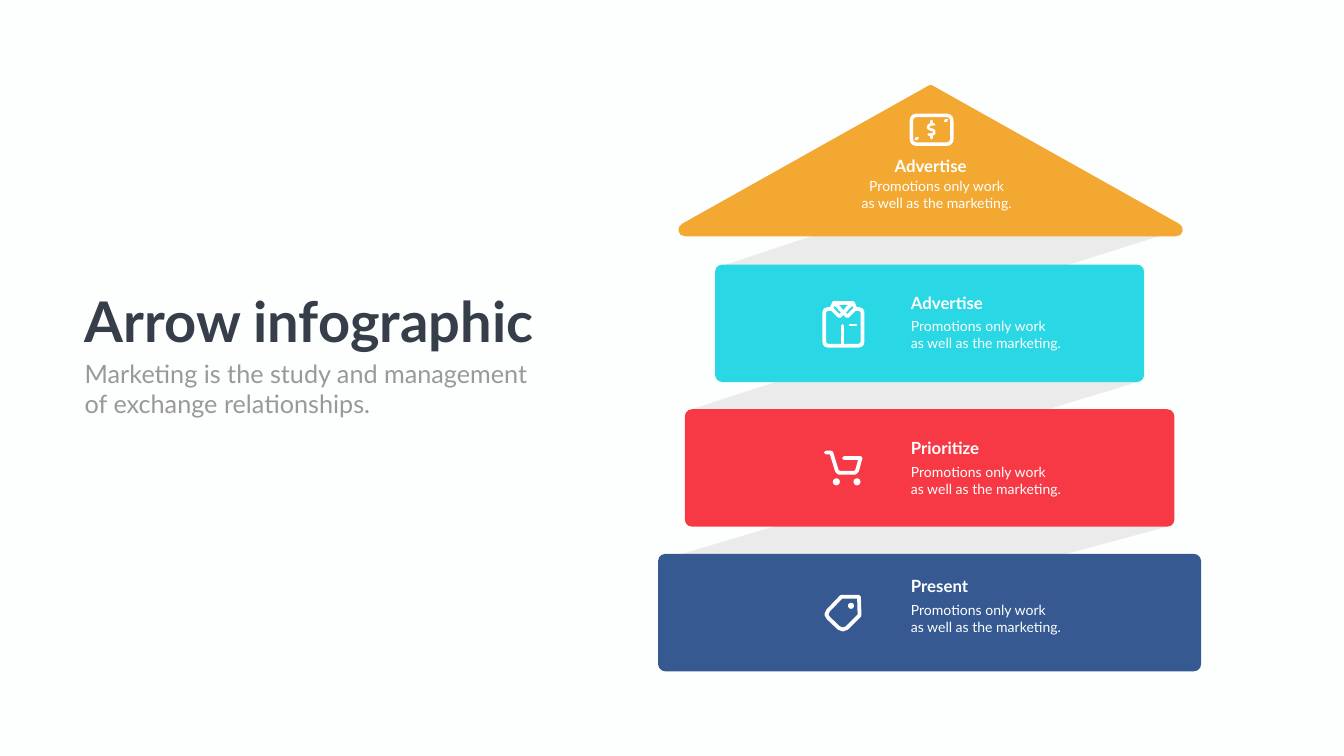
"""Build the house-shaped arrow infographic slide."""
from pptx import Presentation
from pptx.dml.color import RGBColor
from pptx.enum.shapes import MSO_CONNECTOR, MSO_SHAPE
from pptx.enum.text import MSO_ANCHOR, MSO_AUTO_SIZE, PP_ALIGN
from pptx.oxml.ns import qn
from pptx.util import Inches, Pt
from lxml.etree import SubElement

FONT = "Lato"
PAPER = RGBColor(0xFD, 0xFF, 0xFE)
WHITE = RGBColor(0xFF, 0xFF, 0xFF)
INK = RGBColor(0x35, 0x3E, 0x49)
GREY = RGBColor(0x98, 0x99, 0x98)
SHADE = RGBColor(0xEA, 0xEB, 0xEA)
AMBER = RGBColor(0xF3, 0xA8, 0x32)
CYAN = RGBColor(0x2A, 0xD7, 0xE4)
RED = RGBColor(0xF7, 0x39, 0x45)
BLUE = RGBColor(0x36, 0x59, 0x92)

TITLE = "Arrow infographic"
SUBTITLE = ["Marketing is the study and management", "of exchange relationships."]
DETAIL = ["Promotions only work", "as well as the marketing."]
ROOF_LABEL = "Advertise"
FLOORS = [
    ("Advertise", CYAN, 8.51, 5.75),
    ("Prioritize", RED, 9.71, 8.64),
    ("Present", BLUE, 10.77, 11.38),
]
FLOOR_TOP, FLOOR_HEIGHT, FLOOR_STEP, FLOOR_CENTER = 5.25, 2.33, 2.87, 18.44
CORNER = 0.14
LABEL_LEFT = 17.97

BANDS = [
    [(13.72, 8.12), (22.56, 5.25), (22.56, 7.58), (13.59, 10.32)],
    [(14.37, 5.26), (20.93, 3.09), (23.08, 4.66), (14.24, 7.45)],
    [(13.06, 13.18), (23.15, 10.45), (23.15, 8.12), (13.06, 11.13)],
]
ROOF_CENTER = 18.46
ROOF_HALF = [(18.48, 1.69), (18.52, 1.71), (23.39, 4.44), (23.45, 4.5),
             (23.46, 4.58), (23.42, 4.66), (23.32, 4.69)]

SHIRT_CENTER = 16.73
SHIRT_HALF = [(16.97, 6.13), (17.03, 6.13), (17.09, 6.15), (17.11, 6.2),
              (17.11, 6.78), (17.09, 6.84), (17.03, 6.86)]
COLLAR = [(16.65, 6.12), (16.81, 6.28), (16.97, 6.12), (16.92, 6.01), (16.8, 6.12)]
TAG = [(16.69, 11.84), (17.04, 11.84), (17.05, 12.21), (16.8, 12.46), (16.72, 12.49),
       (16.64, 12.46), (16.43, 12.26), (16.39, 12.19), (16.43, 12.11)]
CART = [(16.38, 8.98), (16.49, 8.98), (16.6, 9.34), (16.64, 9.38), (16.96, 9.38),
        (17, 9.34), (17.07, 9.09), (16.74, 9.09)]
DOLLAR = [(18.42, 2.67), (18.48, 2.67), (18.53, 2.65), (18.53, 2.6), (18.49, 2.57),
          (18.46, 2.57), (18.41, 2.54), (18.42, 2.49), (18.46, 2.47), (18.53, 2.47)]
STROKES = [
    (DOLLAR, 3.6), ([(18.48, 2.4), (18.48, 2.46)], 3.6), ([(18.48, 2.69), (18.48, 2.74)], 3.6),
    ([(18.75, 2.4), (18.78, 2.38)], 4), ([(18.17, 2.76), (18.2, 2.74)], 4),
    (CART, 5.4), ([(16.54, 6.01), (16.91, 6.01)], 5),
    ([(16.86, 6.45), (16.98, 6.45)], 4), ([(16.72, 6.46), (16.72, 6.83)], 4.3),
]
DOTS = [(16.82, 11.96, 0.12), (16.52, 9.49, 0.14), (16.93, 9.49, 0.14)]


def mirror(points, center):
    return [(2 * center - x, y) for x, y in reversed(points)]


def paint(s, color):
    s.shadow.inherit = False
    s.fill.solid()
    s.fill.fore_color.rgb = color
    s.line.fill.background()


def outline(s, width):
    s.line.color.rgb = WHITE
    s.line.width = Pt(width)
    s.line._get_or_add_ln().set("cap", "rnd")


def preset(shapes, kind, left, top, width, height):
    return shapes.add_shape(kind, Inches(left), Inches(top), Inches(width), Inches(height))


def polygon(shapes, points, close=True):
    pts = [(Inches(x), Inches(y)) for x, y in points]
    builder = shapes.build_freeform(*pts[0])
    builder.add_line_segments(pts[1:], close=close)
    s = builder.convert_to_shape()
    s.shadow.inherit = False
    return s


def stroke(shapes, points, width, close=False):
    if len(points) == 2:
        ends = [Inches(v) for point in points for v in point]
        s = shapes.add_connector(MSO_CONNECTOR.STRAIGHT, *ends)
        SubElement(s._element.spPr, qn("a:effectLst"))
    else:
        s = polygon(shapes, points, close)
        s.fill.background()
    outline(s, width)


def write(s, lines, box, size, color, bold=False, align=PP_ALIGN.LEFT, wrap=True):
    s.left, s.top, s.width, s.height = [Inches(v) for v in box]
    tf = s.text_frame
    tf.word_wrap = wrap
    tf.auto_size = MSO_AUTO_SIZE.NONE
    tf.vertical_anchor = MSO_ANCHOR.TOP
    for i, line in enumerate(lines):
        p = tf.add_paragraph() if i else tf.paragraphs[0]
        p.alignment = align
        p.space_before = Pt(0)
        r = p.add_run()
        r.text = line
        r.font.name, r.font.size, r.font.bold = FONT, Pt(size), bold
        r.font.color.rgb = color


def label(shapes, text, title_at, detail_at, align=PP_ALIGN.LEFT):
    for lines, at, extent, size, bold in (
            ([text], title_at, (1.8, 0.5), 24, True),
            (DETAIL, detail_at, (3.2, 0.77), 20, False)):
        write(shapes.add_textbox(0, 0, 0, 0), lines, at + extent, size, PAPER,
              bold=bold, align=align)


def main():
    prs = Presentation()
    prs.slide_width, prs.slide_height = Inches(26.66), Inches(15)
    slide = prs.slides.add_slide(prs.slide_layouts[0])
    slide.background.fill.solid()
    slide.background.fill.fore_color.rgb = PAPER
    shapes = slide.shapes

    write(shapes.title, [TITLE], (1.58, 5.63, 9.34, 1.45), 80, INK, bold=True, wrap=False)
    write(slide.placeholders[1], SUBTITLE, (1.58, 7.05, 9.74, 1.31), 36, GREY)

    for band in BANDS:
        paint(polygon(shapes, band), SHADE)
    paint(polygon(shapes, ROOF_HALF + mirror(ROOF_HALF, ROOF_CENTER)), AMBER)
    label(shapes, ROOF_LABEL, (17.56, 3.04), (16.98, 3.47), PP_ALIGN.CENTER)

    for i, (text, color, width, label_top) in enumerate(FLOORS):
        s = preset(shapes, MSO_SHAPE.ROUNDED_RECTANGLE, FLOOR_CENTER - width / 2,
                   FLOOR_TOP + i * FLOOR_STEP, width, FLOOR_HEIGHT)
        s.adjustments[0] = CORNER / FLOOR_HEIGHT
        paint(s, color)
        label(shapes, text, (LABEL_LEFT, label_top), (LABEL_LEFT, label_top + 0.51))

    note = preset(shapes, MSO_SHAPE.ROUNDED_RECTANGLE, 18.08, 2.29, 0.8, 0.57)
    note.shadow.inherit = False
    note.fill.background()
    outline(note, 5)
    for points, width in STROKES:
        stroke(shapes, points, width)
    stroke(shapes, TAG, 5.4, close=True)
    stroke(shapes, SHIRT_HALF + mirror(SHIRT_HALF, SHIRT_CENTER), 5.4)
    for points in (COLLAR, mirror(COLLAR, SHIRT_CENTER)):
        stroke(shapes, points, 5)
    for left, top, size in DOTS:
        paint(preset(shapes, MSO_SHAPE.OVAL, left, top, size, size), WHITE)

    prs.save("out.pptx")


if __name__ == "__main__":
    main()
